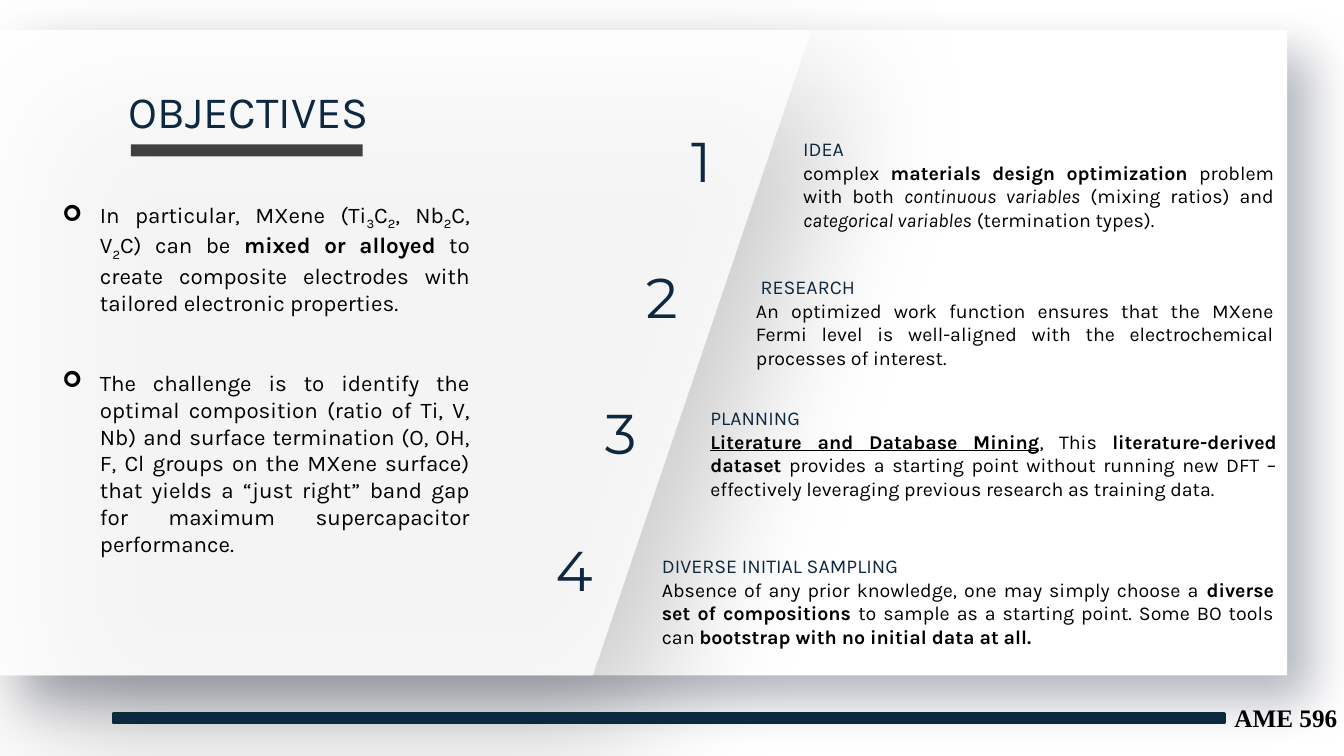
from lxml import etree
from pptx import Presentation
from pptx.dml.color import RGBColor
from pptx.enum.shapes import MSO_SHAPE
from pptx.enum.text import MSO_ANCHOR, MSO_AUTO_SIZE, PP_ALIGN
from pptx.oxml.ns import qn
from pptx.util import Cm, Pt

RECTANGLE = MSO_SHAPE.RECTANGLE
MIDDLE = MSO_ANCHOR.MIDDLE
GROW = MSO_AUTO_SIZE.SHAPE_TO_FIT_TEXT
LEFT, CENTER, JUSTIFY = PP_ALIGN.LEFT, PP_ALIGN.CENTER, PP_ALIGN.JUSTIFY

NAVY, BLACK, WHITE, GREY = "0E2841", "000000", "FFFFFF", "404040"
BOLD = {"bold": True}
ITALIC = {"italic": True}
BOLD_UNDERLINED = {"bold": True, "underline": True}
SUBSCRIPT = {"baseline": "-25000"}

STEPS = [
    ((16.69, 19.99, 3.33, 12.37), "IDEA", [
        ("complex ", {}), ("materials design optimization", BOLD),
        (" problem with both ", {}), ("continuous variables", ITALIC),
        (" (mixing ratios) and ", {}), ("categorical variables", ITALIC),
        (" (termination types).", {})]),
    ((15.7, 18.8, 6.81, 13.56), " RESEARCH", [
        ("An optimized work function ensures that the MXene Fermi level is "
         "well-aligned with the electrochemical processes of interest.", {})]),
    ((14.66, 17.65, 10.11, 14.78), "PLANNING", [
        ("Literature and Database Mining", BOLD_UNDERLINED), (", This ", {}),
        ("literature-derived dataset", BOLD),
        (" provides a starting point without running new DFT – effectively "
         "leveraging previous research as training data.", {})]),
    ((13.49, 16.43, 13.84, 15.93), "DIVERSE INITIAL SAMPLING", [
        ("Absence of any prior knowledge, one may simply choose a ", {}),
        ("diverse set of compositions", BOLD),
        (" to sample as a starting point. Some BO tools can ", {}),
        ("bootstrap with no initial data at all.", BOLD)]),
]

GOALS = [
    [("In particular, MXene (Ti", {}), ("3", SUBSCRIPT), ("C", {}),
     ("2", SUBSCRIPT), (", Nb", {}), ("2", SUBSCRIPT), ("C, V", {}),
     ("2", SUBSCRIPT), ("C) can be ", {}), ("mixed or alloyed", BOLD),
     (" to create composite electrodes with tailored electronic properties.", {})],
    [("The challenge is to identify the optimal composition (ratio of Ti, V, Nb) "
      "and surface termination (O, OH, F, Cl groups on the MXene surface) that "
      "yields a “just right” band gap for maximum supercapacitor performance.", {})],
]


def rgb(value):
    return RGBColor.from_string(value)


def paint(shape, fill, line=None):
    shape.shadow.inherit = False
    shape.fill.solid()
    shape.fill.fore_color.rgb = rgb(fill)
    if line:
        shape.line.color.rgb = rgb(line)
        shape.line.width = Pt(1.5)
    else:
        shape.line.fill.background()


def add_color_alpha(color_node, percent):
    etree.SubElement(color_node, qn("a:alpha"), val=str(percent * 1000))


def cast_shadow(shape, color, opacity, blur, distance, angle):
    effects = shape.element.spPr.find(qn("a:effectLst"))
    shadow = etree.SubElement(
        effects, qn("a:outerShdw"), blurRad=str(Pt(blur)), dist=str(Pt(distance)),
        dir=str(angle * 60000), algn="ctr", rotWithShape="0")
    add_color_alpha(etree.SubElement(shadow, qn("a:srgbClr"), val=color), opacity)


def add_bar(slide, box, fill, line=None):
    bar = slide.shapes.add_shape(RECTANGLE, *map(Cm, box))
    paint(bar, fill, line)
    return bar


def add_text(slide, box, **frame_format):
    frame = slide.shapes.add_textbox(*map(Cm, box)).text_frame
    for key, value in {"word_wrap": True, "auto_size": GROW, **frame_format}.items():
        setattr(frame, key, value)
    return frame


def write(paragraph, runs, size, color, font="Karla", align=JUSTIFY):
    paragraph.alignment = align
    for text, style in runs:
        run = paragraph.add_run()
        run.text = text
        run.font.color.rgb = rgb(color)
        for key, value in {"size": Pt(size), "name": font, **style}.items():
            if key == "baseline":
                run._r.get_or_add_rPr().set(key, value)
            else:
                setattr(run.font, key, value)


def add_backdrop(slide, box):
    left, top, width, height = box
    card = add_bar(slide, box, WHITE)
    cast_shadow(card, "000F2E", 30, 35, 25, 45)

    top_right, bottom_right = left + 20.45, left + 14.94
    outline = slide.shapes.build_freeform(Cm(left), Cm(top))
    outline.add_line_segments([
        (Cm(top_right), Cm(top)), (Cm(bottom_right), Cm(top + height)),
        (Cm(left), Cm(top + height))])
    panel = outline.convert_to_shape()
    paint(panel, WHITE)
    add_color_alpha(panel.element.spPr.find(qn("a:solidFill"))[0], 80)
    cast_shadow(panel, BLACK, 25, 100, 50, 60)


def add_heading(slide, box):
    left, top, width, height = box
    title = add_text(slide, box)
    write(title.paragraphs[0], [("OBJECTIVES", {})], 32, NAVY, align=LEFT)
    add_bar(slide, (left + 0.3, top + height + 0.03, 5.84, 0.3), GREY)


def add_goals(slide, box):
    margins = dict.fromkeys(
        ("margin_left", "margin_top", "margin_right", "margin_bottom"), Cm(0.15))
    frame = add_text(slide, box, vertical_anchor=MIDDLE, **margins)
    for index, goal in enumerate(GOALS):
        paragraph = frame.add_paragraph() if index else frame.paragraphs[0]
        if index:
            paragraph.space_before = Pt(38)
        write(paragraph, goal, 16, BLACK)
        properties = paragraph._p.get_or_add_pPr()
        properties.set("marL", str(Cm(0.95)))
        properties.set("indent", str(-Cm(0.95)))
        etree.SubElement(properties, qn("a:buFont"), typeface="Wingdings")
        etree.SubElement(properties, qn("a:buChar"), char="➢")


def add_step(slide, number, number_box, text_box, heading, body):
    numeral = add_text(slide, number_box)
    write(numeral.paragraphs[0], [(str(number), {})], 40, NAVY, "Montserrat", CENTER)
    details = add_text(slide, text_box)
    write(details.paragraphs[0], [(heading, {})], 14, NAVY)
    write(details.add_paragraph(), body, 14, BLACK)


def add_footer(slide, box):
    left, top, width, height = box
    add_bar(slide, box, NAVY, "092A39")
    course = add_text(slide, (left + width, top - 0.4, 3.12, 1.02), word_wrap=False)
    write(course.paragraphs[0], [("AME 596", BOLD)], 18, BLACK, "Times New Roman", LEFT)


def main():
    deck = Presentation()
    deck.slide_width, deck.slide_height = Cm(33.87), Cm(19.05)
    slide = deck.slides.add_slide(deck.slide_layouts[6])
    add_backdrop(slide, (0, 0.76, 32.44, 16.26))
    for index, ((number_left, left, top, width), heading, body) in enumerate(STEPS):
        number_box = (number_left, 3.07 + 3.43 * index, 1.96, 1.96)
        add_step(slide, index + 1, number_box, (left, top, width, 2.64), heading, body)
    add_heading(slide, (3, 1.98, 8.76, 1.63))
    add_goals(slide, (1.42, 5.31, 10.57, 8.48))
    add_footer(slide, (2.84, 17.98, 28.02, 0.25))
    deck.save("out.pptx")


if __name__ == "__main__":
    main()
